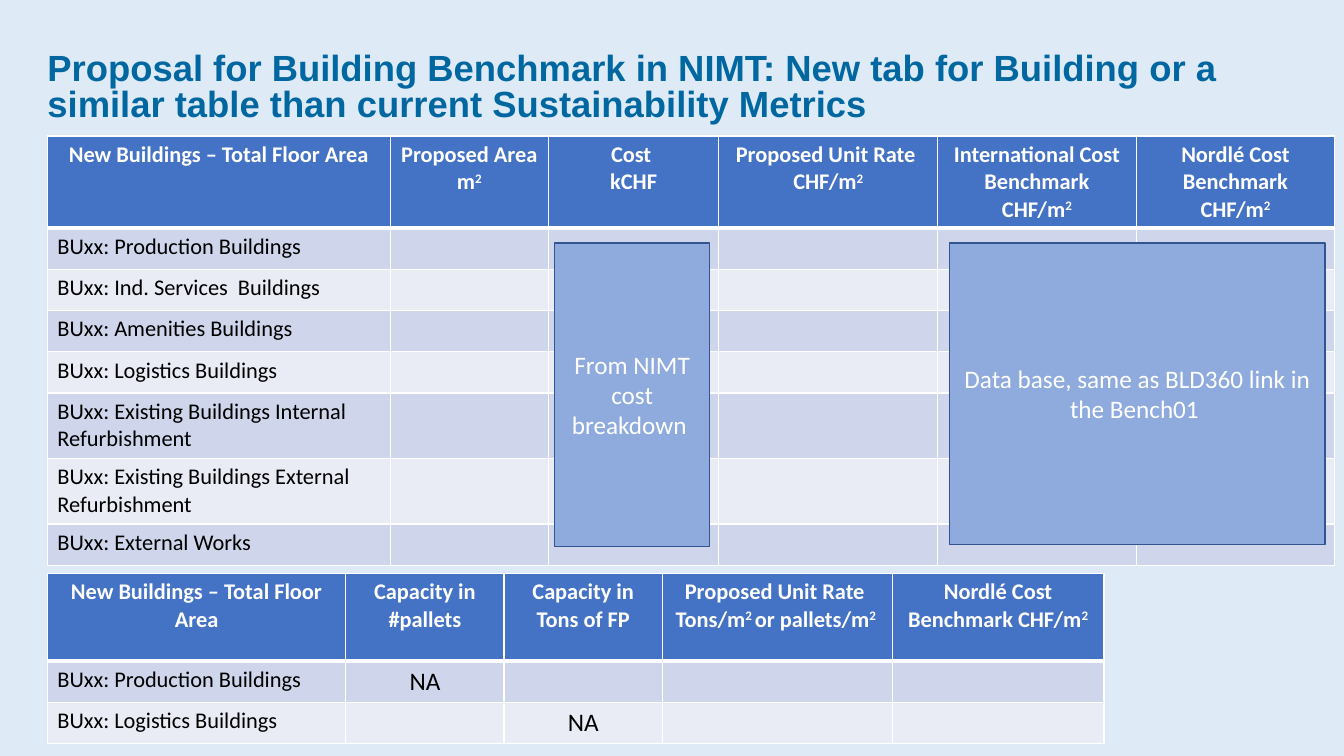
"""Build the building benchmark proposal slide."""
from lxml.etree import SubElement
from pptx import Presentation
from pptx.dml.color import RGBColor
from pptx.enum.shapes import MSO_SHAPE
from pptx.enum.text import MSO_ANCHOR, PP_ALIGN
from pptx.oxml.ns import qn
from pptx.util import Inches, Pt

HUE = {"back": "DEEBF7", "title": "0067A0", "head": "4472C4", "odd": "CFD5EA",
       "even": "E9EBF5", "box": "8FAADC", "edge": "325491",
       "white": "FFFFFF", "black": "000000"}
TITLE = ("Proposal for Building Benchmark in NIMT: New tab for Building or a "
         "similar table than current Sustainability Metrics")
AREA = "New Buildings – Total Floor Area"
TABLES = [
    {"top": 1.35, "cols": [3.4, 1.57, 1.69, 2.17, 1.97, 1.97],
     "rows": [0.91, 0.41, 0.41, 0.41, 0.41, 0.65, 0.65, 0.41],
     "cells": [
         [AREA, "Proposed Area\nm^2", "Cost \nkCHF", "Proposed Unit Rate \nCHF/m^2",
          "International Cost Benchmark CHF/m^2", "Nordlé Cost Benchmark CHF/m^2"],
         ["BUxx: Production Buildings"],
         ["BUxx: Ind. Services  Buildings"],
         ["BUxx: Amenities Buildings"],
         ["BUxx: Logistics Buildings"],
         ["BUxx: Existing Buildings Internal Refurbishment"],
         ["BUxx: Existing Buildings External Refurbishment"],
         ["BUxx: External Works"]]},
    {"top": 5.69, "cols": [2.96, 1.57, 1.57, 2.28, 2.1],
     "rows": [0.87, 0.41, 0.41],
     "cells": [
         [AREA, "Capacity in\n#pallets", "Capacity in\nTons of FP",
          "Proposed Unit Rate \nTons/m^2 ^or pallets/m^2 ",
          "Nordlé Cost Benchmark CHF/m^2"],
         ["BUxx: Production Buildings", "NA"],
         ["BUxx: Logistics Buildings", "", "NA"]]},
]
BOXES = [
    ("Data base, same as BLD360 link in the Bench01 ", 9.42, 2.41, 3.72, 2.99),
    ("From NIMT cost breakdown ", 5.5, 2.41, 1.54, 3.01),
]
LEFT = 0.47


def tint(name):
    return RGBColor.from_string(HUE[name])


def write(frame, text, size=16, hue="white", bold=False, font="Calibri",
          align=PP_ALIGN.CENTER, space=None):
    frame.word_wrap = True
    for i, line in enumerate(text.split("\n")):
        para = frame.add_paragraph() if i else frame.paragraphs[0]
        para.alignment = align
        para.line_spacing = space
        for j, part in enumerate(line.split("^")):
            run = para.add_run()
            run.text = part
            run.font.size = Pt(size)
            run.font.name = font
            run.font.bold = bold
            run.font.color.rgb = tint(hue)
            if j % 2:
                run._r.get_or_add_rPr().set("baseline", "30000")


def border(cell, row):
    prop = cell._tc.get_or_add_tcPr()
    for side in "LRTB":
        thick = (row, side) in [(0, "B"), (1, "T")]
        line = SubElement(prop, qn("a:ln" + side), w=str(Pt(3 if thick else 1)))
        fill = SubElement(line, qn("a:solidFill"))
        SubElement(fill, qn("a:srgbClr"), val=HUE["white"])


def draw_table(slide, top, cols, rows, cells):
    table = slide.shapes.add_table(
        len(rows), len(cols), Inches(LEFT), Inches(top),
        Inches(sum(cols)), Inches(sum(rows))).table
    table.first_row = table.horz_banding = False
    for col, width in zip(table.columns, cols):
        col.width = Inches(width)
    for r, high in enumerate(rows):
        table.rows[r].height = Inches(high)
        for c in range(len(cols)):
            cell = table.cell(r, c)
            border(cell, r)
            cell.fill.solid()
            cell.fill.fore_color.rgb = tint(
                "head" if r == 0 else "odd" if r % 2 else "even")
            text = cells[r][c] if c < len(cells[r]) else ""
            if text and r == 0:
                write(cell.text_frame, text, bold=True)
            elif text:
                write(cell.text_frame, text, hue="black", size=18 if c else 16,
                      align=PP_ALIGN.CENTER if c else PP_ALIGN.LEFT)


def draw_box(slide, text, *place):
    box = slide.shapes.add_shape(MSO_SHAPE.RECTANGLE, *map(Inches, place))
    box.shadow.inherit = False
    box.fill.solid()
    box.fill.fore_color.rgb = tint("box")
    box.line.color.rgb = tint("edge")
    box.line.width = Pt(1)
    box.text_frame.vertical_anchor = MSO_ANCHOR.MIDDLE
    write(box.text_frame, text, size=18)


def main():
    deck = Presentation()
    deck.slide_width, deck.slide_height = Inches(13.33), Inches(7.5)
    slide = deck.slides.add_slide(deck.slide_layouts[6])
    slide.background.fill.solid()
    slide.background.fill.fore_color.rgb = tint("back")
    frame = slide.shapes.add_textbox(
        Inches(LEFT), Inches(0.52), Inches(12.39), Inches(1.26)).text_frame
    frame.margin_left = frame.margin_right = 0
    frame.margin_top = frame.margin_bottom = 0
    write(frame, TITLE, size=26, hue="title", bold=True, font="Arial",
          align=PP_ALIGN.LEFT, space=0.83)
    first, last = TABLES
    draw_table(slide, **first)
    for box in BOXES:
        draw_box(slide, *box)
    draw_table(slide, **last)
    deck.save("out.pptx")


if __name__ == "__main__":
    main()
